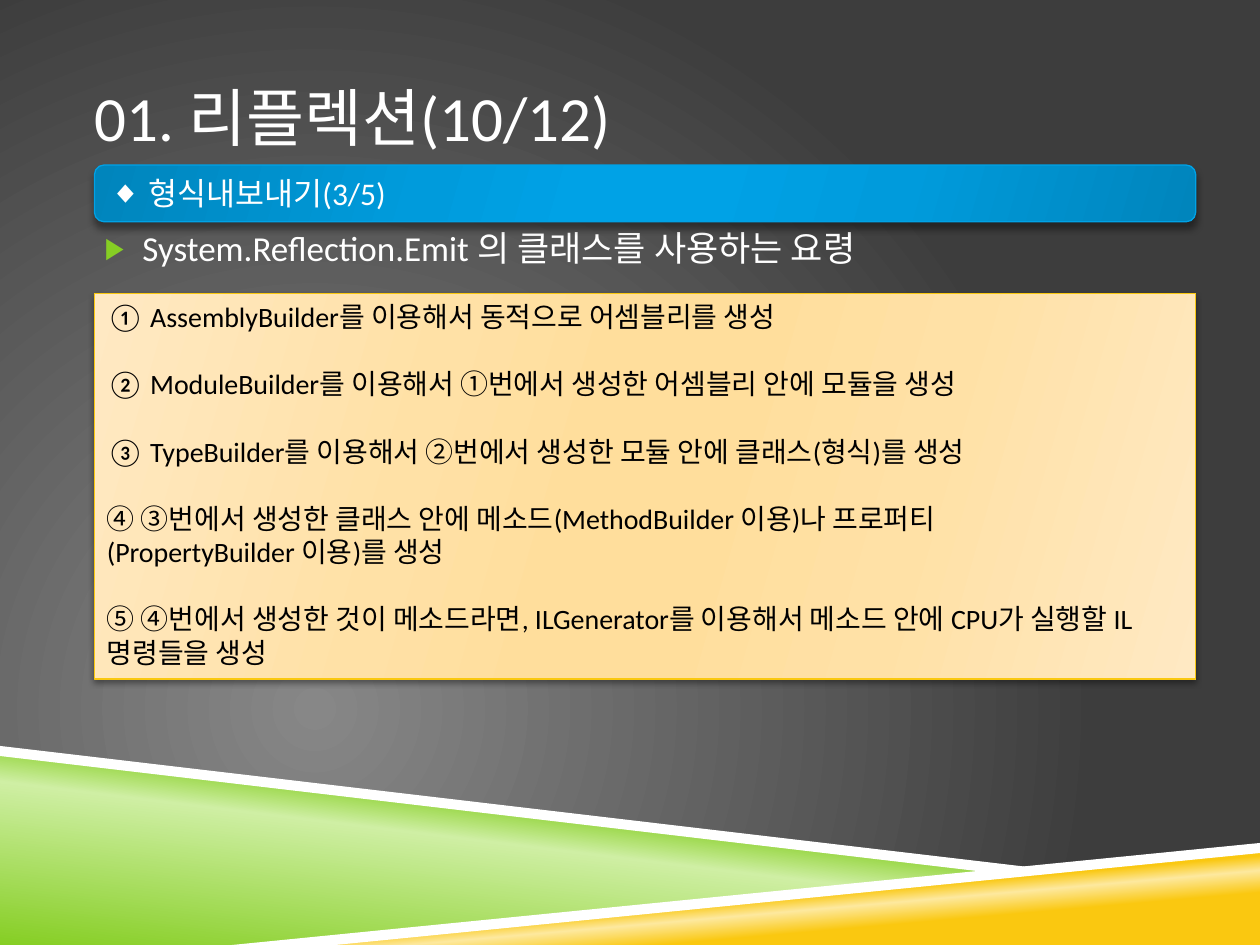
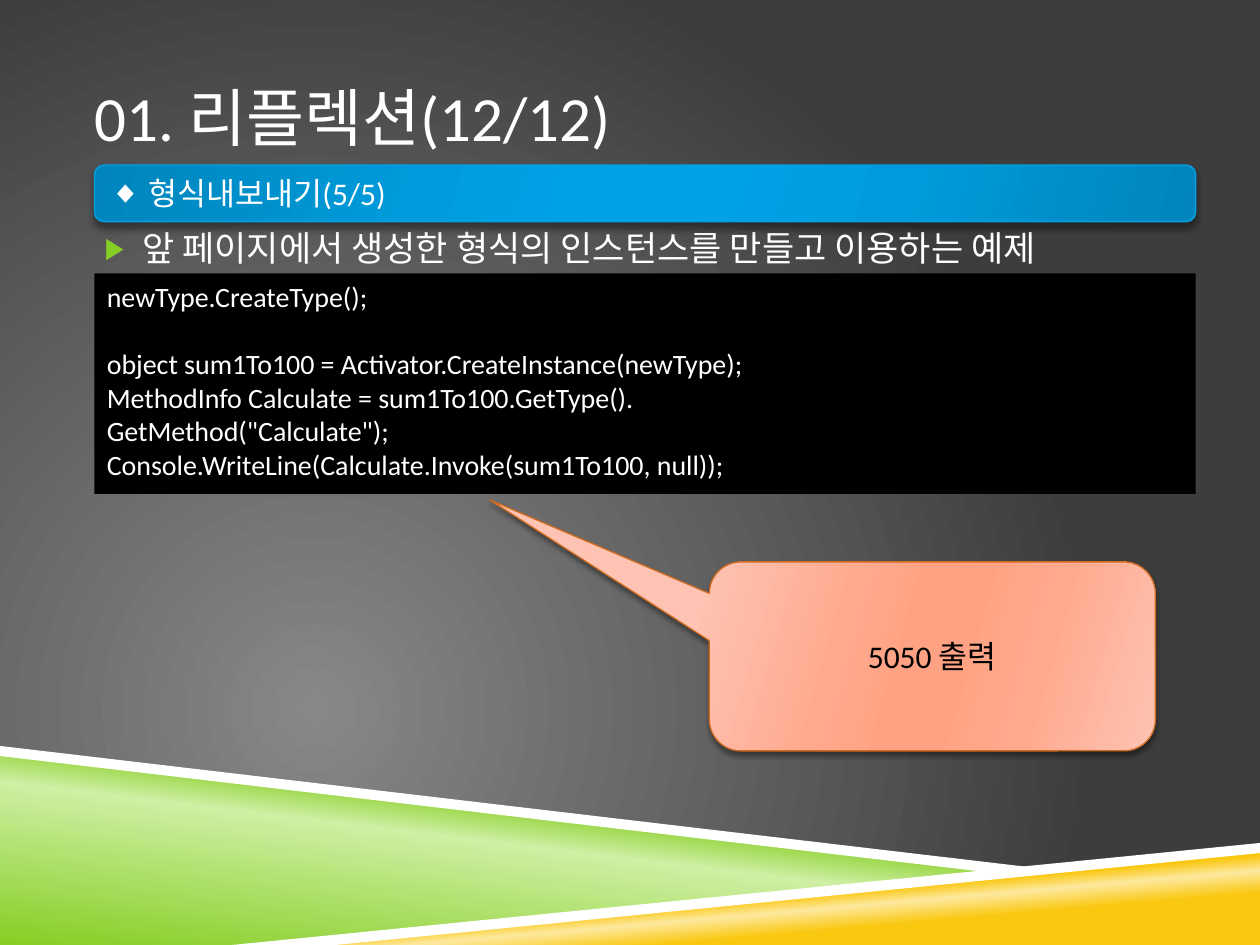
import lxml.etree
import pptx
import pptx.dml.color
import pptx.enum.shapes
import pptx.enum.text
import pptx.oxml.ns
import pptx.util

Inches = pptx.util.Inches
Pt = pptx.util.Pt
RGB = pptx.dml.color.RGBColor
KIND = pptx.enum.shapes.MSO_SHAPE
ALIGN = pptx.enum.text.PP_ALIGN
ANCHOR = pptx.enum.text.MSO_ANCHOR
qn = pptx.oxml.ns.qn

FONT = "Calibri"
WHITE = RGB(0xFF, 0xFF, 0xFF)
BLACK = RGB(0, 0, 0)
GREEN = RGB(0x86, 0xCE, 0x24)
LIME = RGB(0xCF, 0xEF, 0xA4)
GOLD = RGB(0xFA, 0xC8, 0x10)
CREAM = RGB(0xFD, 0xE9, 0x9F)
BLUE = RGB(0x00, 0xA2, 0xE6)
RUST = RGB(0xD0, 0x6B, 0x20)
GREY = RGB(0x87, 0x87, 0x87)
DARK = RGB(0x3D, 0x3D, 0x3D)


def sheen(edge, mid, core):
    """Return the stops of a gradient that mirrors around its core."""
    return [(0, edge), (30, mid), (45, core), (55, core), (73, mid), (100, edge)]


SKY = sheen(RGB(0x00, 0x85, 0xBC), RGB(0x00, 0x9B, 0xDC), BLUE)
SAND = sheen(RGB(0xFF, 0xE9, 0xC3), RGB(0xFF, 0xE1, 0xA6), RGB(0xFF, 0xDE, 0x9C))
PEACH = sheen(RGB(0xFE, 0xC3, 0xB2), RGB(0xFF, 0xAA, 0x8F), RGB(0xFF, 0xA2, 0x83))
LEAF = [(0, GREEN), (52, LIME), (66, GREEN)]
SUN = [(28, GOLD), (40, CREAM), (48, GOLD)]
NIGHT = [(0, GREY), (100, DARK)]

HEAD = (0.75, 0.3, 8.5, 1.25)
BAND = (0.75, 1.31, 8.74, 0.45)
BODY = (0.75, 1.75, 8.5, 4.44)
FLOOR = (0, 5.92, 10, 1.58)
STEPS = (0.75, 2.33, 8.74, 3.06)
CODE = (0.75, 2.17, 8.74, 1.75)
CALL = (5.63, 4.46, 3.54, 1.5)


def node(root, tag, **attrs):
    """Add a child element with the given attributes."""
    return lxml.etree.SubElement(
        root, qn(tag), {key: str(val) for key, val in attrs.items()})


def blend(fill, root, stops, angle=None):
    """Fill with a linear gradient, or a round one when no angle is given."""
    fill.gradient()
    grad = next(root.iter(qn("a:gradFill")))
    for child in list(grad):
        grad.remove(child)
    group = node(grad, "a:gsLst")
    for place, color in stops:
        stop = node(group, "a:gs", pos=place * 1000)
        node(stop, "a:srgbClr", val=color)
    if angle is None:
        ring = node(grad, "a:path", path="circle")
        node(ring, "a:fillToRect", l=50000, t=100000, r=100000, b=50000)
    else:
        node(grad, "a:lin", ang=angle * 60000, scaled=0)


def shade(shape, blur, dist):
    """Give a shape a soft shadow below it."""
    shape.shadow.inherit = False
    root = shape.element.spPr.find(qn("a:effectLst"))
    drop = node(root, "a:outerShdw", blurRad=Pt(blur), dist=Pt(dist),
                dir=5400000, rotWithShape=0)
    color = node(drop, "a:srgbClr", val=BLACK)
    node(color, "a:alpha", val=40000)


def write(shape, lines, size, color, anchor=ANCHOR.TOP, align=ALIGN.LEFT):
    """Write (text, space before) lines and return the paragraphs."""
    frame = shape.text_frame
    frame.word_wrap = True
    frame.vertical_anchor = anchor
    for num, (text, gap) in enumerate(lines):
        para = frame.add_paragraph() if num else frame.paragraphs[0]
        para.alignment = align
        para.space_before = Pt(gap)
        run = para.add_run()
        run.text = text
        run.font.size = Pt(size)
        run.font.name = FONT
        run.font.color.rgb = color
    return frame.paragraphs


def mark(para, sign, left, hang, color=WHITE, size=100):
    """Put a bullet in front of a paragraph."""
    props = para._p.get_or_add_pPr()
    props.set("marL", str(Inches(left)))
    props.set("indent", str(-Inches(hang)))
    node(node(props, "a:buClr"), "a:srgbClr", val=color)
    node(props, "a:buSzPct", val=size * 1000)
    node(props, "a:buFont", typeface="Arial")
    node(props, "a:buChar", char=sign)


def label(slide, box, text, size, anchor, gap=0):
    """Add a text box without side insets and return its paragraph."""
    shape = slide.shapes.add_textbox(*map(Inches, box))
    shape.text_frame.margin_left = shape.text_frame.margin_right = 0
    return write(shape, [(text, gap)], size, WHITE, anchor)[0]


def panel(slide, box, kind, stops, edge, blur=3, dist=2):
    """Add a glossy outlined shape with a shadow."""
    shape = slide.shapes.add_shape(kind, *map(Inches, box))
    blend(shape.fill, shape.element.spPr, stops, 16)
    shape.line.color.rgb = edge
    shape.line.width = Pt(0.75)
    shade(shape, blur, dist)
    return shape


def wedge(slide, box, points):
    """Add a closed outline whose points are relative to the box."""
    spots = [(Inches(box[0] + x), Inches(box[1] + y)) for x, y in points]
    build = slide.shapes.build_freeform(*spots[0])
    build.add_line_segments(spots[1:], close=True)
    shape = build.convert_to_shape()
    shape.line.fill.background()
    shape.shadow.inherit = False
    return shape


def floor(slide, box):
    """Draw the slanted green and gold wedges with their white edges."""
    wide, high = box[2:]
    left = wedge(slide, box, [(0, 0.05), (7.92, 1), (2, high), (0, high)])
    blend(left.fill, left.element.spPr, LEAF, 277)
    right = wedge(slide, box, [(1.98, high), (wide, 0.8), (wide, high)])
    blend(right.fill, right.element.spPr, SUN, 265)
    for points in (
        [(0, 0), (0, 0.08), (7.9, 1.01), (8.32, 0.98)],
        [(wide, 0.77), (1.84, high), (2.66, high), (wide, 0.85)],
    ):
        edge = wedge(slide, box, points)
        edge.fill.solid()
        edge.fill.fore_color.rgb = WHITE


def start(deck, title, topic, point):
    """Add a slide with the shared backdrop, title, band and main point."""
    slide = deck.slides.add_slide(deck.slide_layouts[6])
    blend(slide.background.fill, slide.element, NIGHT)
    floor(slide, FLOOR)
    label(slide, HEAD, title, 36, ANCHOR.MIDDLE)
    para = label(slide, BODY, point, 20, ANCHOR.TOP, 7)
    mark(para, "▶", 0.38, 0.3, GREEN, 85)
    band = panel(slide, BAND, KIND.ROUNDED_RECTANGLE, SKY, BLUE, 4, 3.3)
    para = write(band, [(topic, 0)], 18, WHITE, ANCHOR.MIDDLE)[0]
    mark(para, "◆", 0.31, 0.31)
    return slide


def steps(slide, box, lines):
    """Add the sand panel that lists the steps."""
    shape = panel(slide, box, KIND.RECTANGLE, SAND, GOLD)
    write(shape, lines, 16, BLACK)


def code(slide, box, lines):
    """Add the black code panel."""
    shape = slide.shapes.add_shape(KIND.RECTANGLE, *map(Inches, box))
    shape.fill.solid()
    shape.fill.fore_color.rgb = BLACK
    shape.line.fill.background()
    shape.shadow.inherit = False
    write(shape, lines, 16, WHITE)


def callout(slide, box, text):
    """Add the peach callout that points at the code."""
    shape = panel(slide, box, KIND.ROUNDED_RECTANGULAR_CALLOUT, PEACH, RUST)
    for num, val in enumerate((-0.992, -0.828, 0.167)):
        shape.adjustments[num] = val
    write(shape, [(text, 0)], 18, BLACK, ANCHOR.MIDDLE, ALIGN.CENTER)


def main():
    """Build and save the deck."""
    deck = pptx.Presentation()
    deck.slide_width, deck.slide_height = Inches(10), Inches(7.5)
    gap = 19.2

    slide = start(deck, "01. 리플렉션(10/12)", "형식내보내기(3/5)",
                  "System.Reflection.Emit 의 클래스를 사용하는 요령")
    steps(slide, STEPS, [
        ("① AssemblyBuilder를 이용해서 동적으로 어셈블리를 생성", 0),
        ("② ModuleBuilder를 이용해서 ①번에서 생성한 어셈블리 안에 모듈을 생성", gap),
        ("③ TypeBuilder를 이용해서 ②번에서 생성한 모듈 안에 클래스(형식)를 생성", gap),
        ("④ ③번에서 생성한 클래스 안에 메소드(MethodBuilder 이용)나 프로퍼티", gap),
        ("(PropertyBuilder 이용)를 생성", 0),
        ("⑤ ④번에서 생성한 것이 메소드라면, ILGenerator를 이용해서 메소드 안에 "
         "CPU가 실행할 IL 명령들을 생성", gap),
    ])

    slide = start(deck, "01. 리플렉션(12/12)", "형식내보내기(5/5)",
                  "앞 페이지에서 생성한 형식의 인스턴스를 만들고 이용하는 예제")
    code(slide, CODE, [
        ("newType.CreateType();", 0),
        ("object sum1To100 = Activator.CreateInstance(newType);", gap),
        ("MethodInfo Calculate = sum1To100.GetType().", 0),
        ("GetMethod(\"Calculate\");", 0),
        ("Console.WriteLine(Calculate.Invoke(sum1To100, null));", 0),
    ])
    callout(slide, CALL, "5050 출력")
    deck.save("out.pptx")


main()
